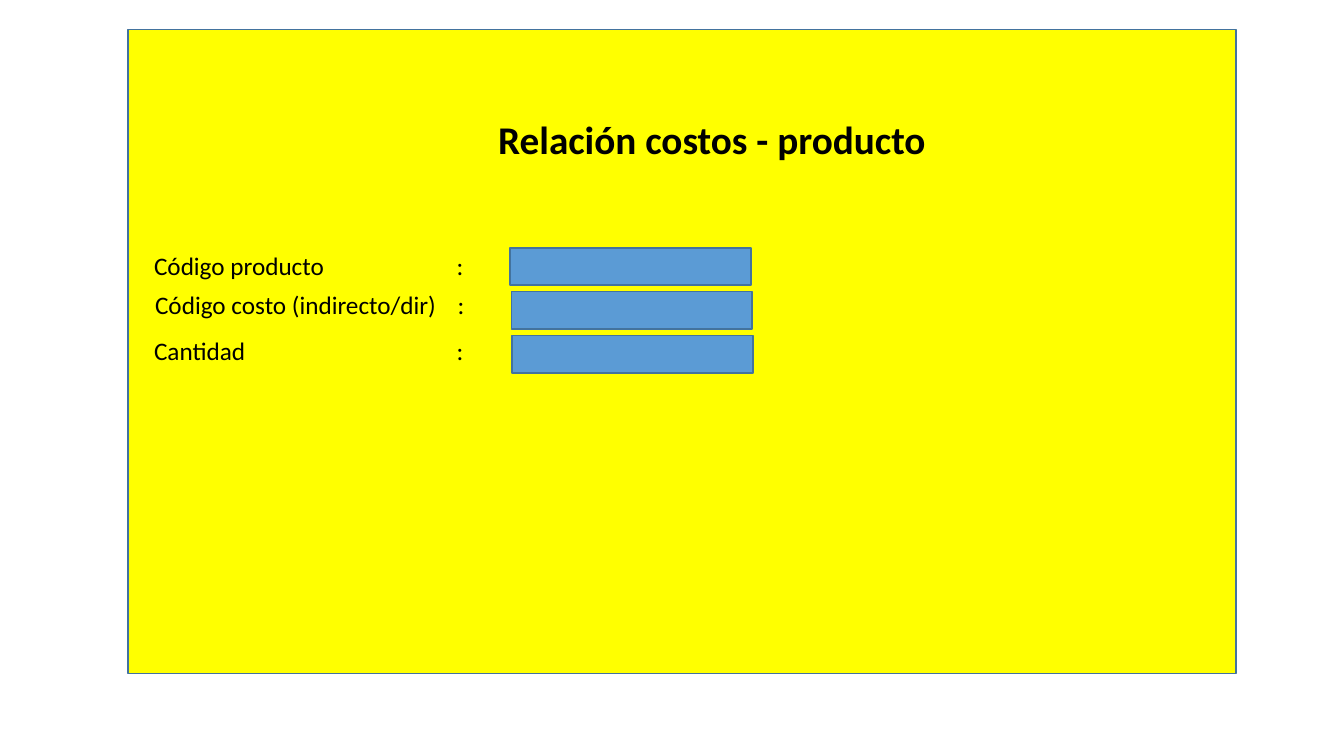
from lxml.etree import SubElement
from pptx import Presentation
from pptx.dml.color import RGBColor
from pptx.enum.shapes import MSO_SHAPE as Shape
from pptx.enum.text import MSO_ANCHOR as Anchor, MSO_AUTO_SIZE as AutoSize, PP_ALIGN as Align
from pptx.oxml.ns import qn
from pptx.util import Inches, Pt

YELLOW = RGBColor(0xFF, 0xFF, 0x00)
BLUE = RGBColor(0x5B, 0x9B, 0xD5)
OUTLINE = RGBColor(0x43, 0x73, 0x9E)
BLACK = RGBColor(0, 0, 0)

TITLE_ONLY = 5
FIELD_PITCH = 0.435
COLON_TAB = 3

# Label, label left and top, field left (inches within the form)
FIELDS = [
    ("Código producto", 0.16, 0, 3.79),
    ("Código costo (indirecto/dir)", 0.17, 0.39, 3.8),
    ("Cantidad", 0.16, 0.85, 3.81),
]


def add_box(slide, left, top, width, height, fill):
    box = slide.shapes.add_shape(
        Shape.RECTANGLE, *map(Inches, (left, top, width, height)))
    box.shadow.inherit = False
    box.fill.solid()
    box.fill.fore_color.rgb = fill
    box.line.color.rgb = OUTLINE
    box.line.width = Pt(1)


def style(paragraph, size, bold=False):
    font = paragraph.font
    font.name, font.size, font.bold = "Calibri", Pt(size), bold
    font.color.rgb = BLACK


def place_title(slide, left, top, width, height):
    title = slide.shapes.title
    title.left, title.top, title.width, title.height = map(
        Inches, (left, top, width, height))
    frame = title.text_frame
    frame.text = "Relación costos - producto"
    frame.auto_size = AutoSize.NONE
    frame.vertical_anchor = Anchor.MIDDLE
    heading = frame.paragraphs[0]
    heading.alignment = Align.CENTER
    style(heading, 28, bold=True)
    # Bring the title in front of the panel
    slide.shapes._spTree.append(title._element)


def add_label(slide, caption, left, top):
    frame = slide.shapes.add_textbox(
        *map(Inches, (left, top, 3.63, 0.4))).text_frame
    frame.word_wrap = True
    label = frame.paragraphs[0]
    label.text = f"{caption}\t:"
    style(label, 18)
    # Line up the colons on one tab stop
    stops = SubElement(label._p.get_or_add_pPr(), qn("a:tabLst"))
    SubElement(stops, qn("a:tab"), pos=str(Inches(COLON_TAB)), algn="l")
    label._p.pPr.insert(0, stops)


def add_fields(slide, left, top):
    for row, (caption, label_x, label_y, field_x) in enumerate(FIELDS):
        add_label(slide, caption, left + label_x, top + label_y)
        add_box(slide, left + field_x, top + 0.03 + row * FIELD_PITCH,
                2.39, 0.37, BLUE)


def build_form(slide, left, top, width, height):
    add_box(slide, left, top, width, height, YELLOW)
    place_title(slide, left + 3.11, top + 0.8, 5.36, 0.57)
    add_fields(slide, left, top + 2.14)


deck = Presentation()
deck.slide_width, deck.slide_height = Inches(13.33), Inches(7.5)
form_slide = deck.slides.add_slide(deck.slide_layouts[TITLE_ONLY])
build_form(form_slide, 1.27, 0.29, 10.99, 6.39)
deck.save("out.pptx")
